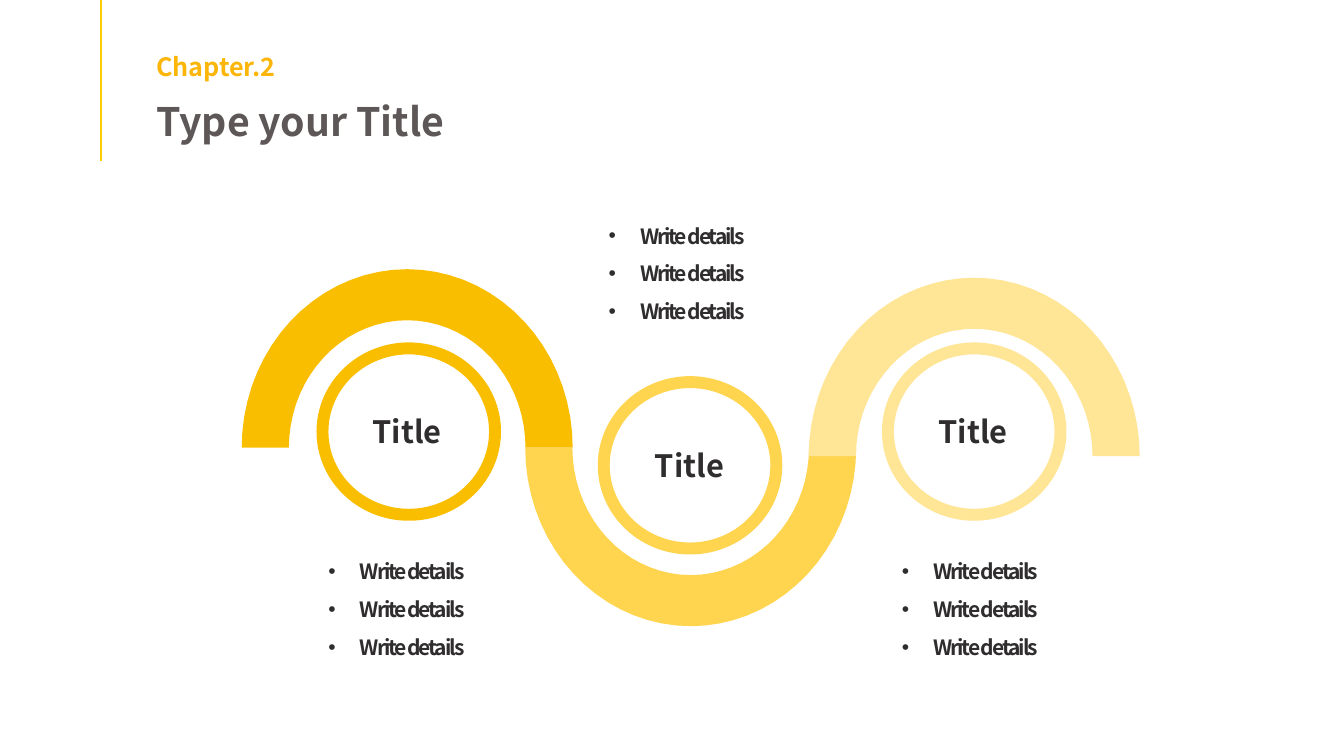
from dataclasses import dataclass
from math import cos, pi, sin

from lxml import etree
from pptx import Presentation
from pptx.dml.color import RGBColor
from pptx.enum import shapes, text
from pptx.oxml import ns
from pptx.util import Pt

FONT = "Noto Sans CJK KR"
HUES = {"line": "FFCF01", "chap": "FBB609", "head": "5D5757", "ink": "2F2D2D",
        "deep": "FABE00", "mid": "FFD54F", "pale": "FFE697"}
OUTER = (118.2, 127.5)
INNER = (84.5, 91)
RING = (131.8, 127.4)
STEPS = 36


@dataclass
class Stage:
    hue: str
    arc: tuple[float, float]   # centre of the half ring
    side: int                  # -1 arches up, 1 hangs down
    ring: tuple[float, float]  # left and top
    label: tuple[float, float]  # left and width
    notes: tuple[float, float, float]  # left, top and width


STAGES = [
    Stage("deep", (290.9, 319.8), -1, (226.1, 244.6), (232.6, 116.6), (227.5, 386.6, 126)),
    Stage("mid", (493.4, 319.8), 1, (427, 268.7), (445, 95), (427.7, 146.9, 131.8)),
    Stage("pale", (695.9, 325.9), -1, (630, 244.6), (638.6, 113), (637.2, 386.6, 117.4)),
]


def rgb(hue: str) -> RGBColor:
    return RGBColor.from_string(HUES[hue])


def paint(shape, hue: str) -> None:
    shape.shadow.inherit = False
    shape.fill.solid()
    shape.fill.fore_color.rgb = rgb(hue)
    shape.line.fill.background()


def add_run(para, words: str, size: float, hue: str):
    run = para.add_run()
    run.text = words
    font = run.font
    font.name, font.size, font.bold = FONT, Pt(size), True
    font.color.rgb = rgb(hue)
    return run


def place(shape, left: float, top: float, width: float, height: float):
    shape.left, shape.top = Pt(left), Pt(top)
    shape.width, shape.height = Pt(width), Pt(height)
    frame = shape.text_frame
    frame.word_wrap = True
    frame.auto_size = text.MSO_AUTO_SIZE.SHAPE_TO_FIT_TEXT
    frame.vertical_anchor = text.MSO_ANCHOR.TOP
    return frame


def add_box(slide, left: float, top: float, width: float, height: float):
    return place(slide.shapes.add_textbox(0, 0, 0, 0), left, top, width, height)


def draw_arc(slide, stage: Stage) -> None:
    """Trace half an elliptical ring: outer edge out, inner edge back."""
    x, y = stage.arc
    turns = [pi * i / STEPS for i in range(STEPS + 1)]
    dots = [(Pt(x - rx * cos(t)), Pt(y + stage.side * ry * sin(t)))
            for (rx, ry), way in ((OUTER, turns), (INNER, turns[::-1]))
            for t in way]
    path = slide.shapes.build_freeform(*dots[0])
    path.add_line_segments(dots[1:], close=True)
    paint(path.convert_to_shape(), stage.hue)


def draw_ring(slide, stage: Stage) -> None:
    left, top = stage.ring
    ring = slide.shapes.add_shape(shapes.MSO_SHAPE.DONUT, Pt(left), Pt(top),
                                  Pt(RING[0]), Pt(RING[1]))
    ring.adjustments[0] = 0.067
    paint(ring, stage.hue)
    left, width = stage.label
    para = add_box(slide, left, top + 46.9, width, 33.8).paragraphs[0]
    para.alignment = text.PP_ALIGN.CENTER
    add_run(para, "Title", 22, "ink")


def draw_notes(slide, stage: Stage) -> None:
    frame = add_box(slide, *stage.notes, 85.7)
    for i in range(3):
        para = frame.add_paragraph() if i else frame.paragraphs[0]
        props = para._p.get_or_add_pPr()
        props.set("marL", str(Pt(22.5)))
        props.set("indent", str(Pt(-22.5)))
        etree.SubElement(props, ns.qn("a:buFont")).set("typeface", "Arial")
        etree.SubElement(props, ns.qn("a:buChar")).set("char", "•")
        para.alignment = text.PP_ALIGN.JUSTIFY
        para.line_spacing = 1.5
        run = add_run(para, "Write details", 15, "ink")
        run._r.get_or_add_rPr().set("spc", "-150")


def draw_head(slide) -> None:
    rule = slide.shapes.add_connector(shapes.MSO_CONNECTOR.STRAIGHT,
                                      Pt(72), Pt(0), Pt(72), Pt(115))
    rule.line.color.rgb = rgb("line")
    rule.line.width = Pt(1.5)
    etree.SubElement(rule._element.spPr, ns.qn("a:effectLst"))
    chap = add_box(slide, 104.4, 33.1, 396.7, 28.8)
    add_run(chap.paragraphs[0], "Chapter.2", 18, "chap")
    para = place(slide.shapes.title, 104.4, 66.2, 480.2, 41).paragraphs[0]
    para.alignment = text.PP_ALIGN.LEFT
    add_run(para, "Type your Title", 28, "head")


def main() -> None:
    deck = Presentation()
    deck.slide_width, deck.slide_height = Pt(960), Pt(540)
    slide = deck.slides.add_slide(deck.slide_layouts[5])
    draw_head(slide)
    for draw in (draw_arc, draw_ring, draw_notes):
        for stage in STAGES:
            draw(slide, stage)
    deck.save("out.pptx")


if __name__ == "__main__":
    main()
